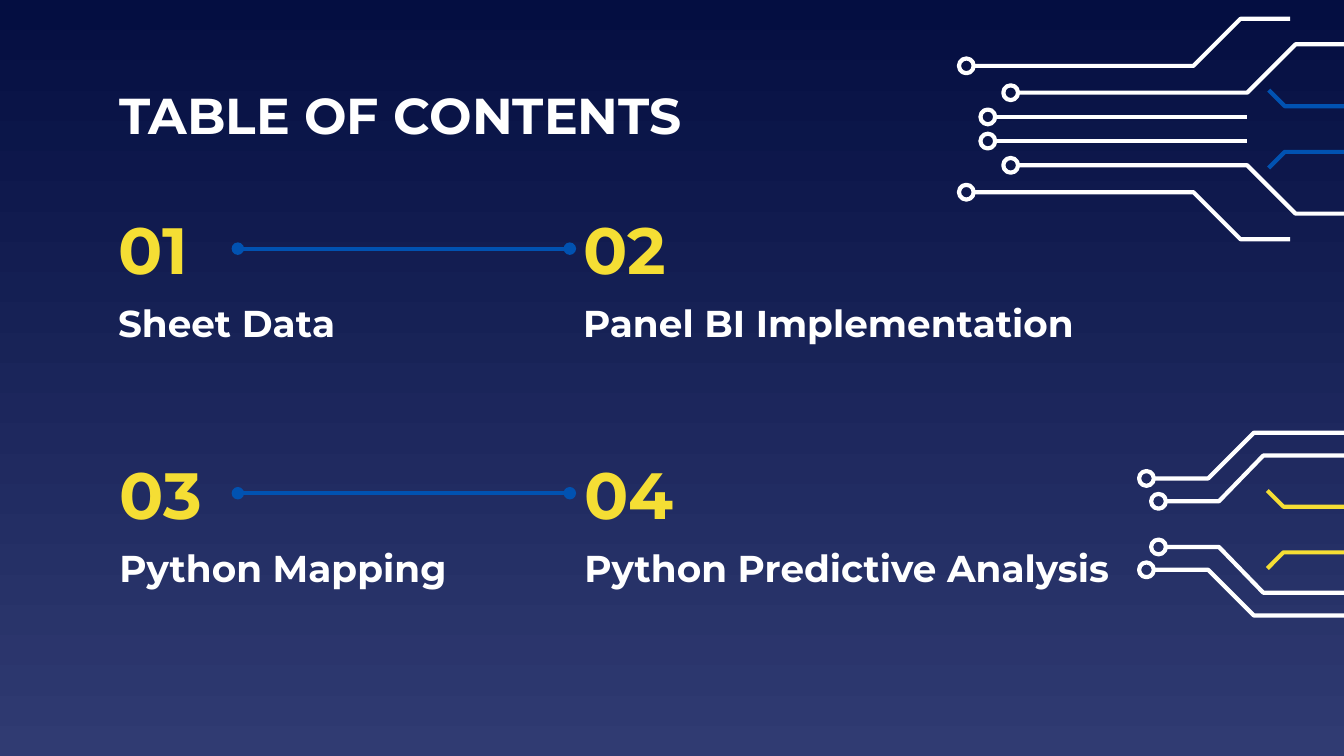
from dataclasses import dataclass

from lxml import etree
from pptx import Presentation
from pptx.dml.color import RGBColor
from pptx.enum.shapes import MSO_CONNECTOR as Connector, MSO_SHAPE as Shape
from pptx.enum.text import MSO_ANCHOR as Anchor
from pptx.oxml.ns import qn
from pptx.util import Inches, Pt


@dataclass(frozen=True)
class Theme:
    font: str = "Montserrat"
    top: RGBColor = RGBColor.from_string("040E41")
    bottom: RGBColor = RGBColor.from_string("303B72")
    white: RGBColor = RGBColor.from_string("FFFFFF")
    yellow: RGBColor = RGBColor.from_string("F5DE34")
    blue: RGBColor = RGBColor.from_string("0152B1")
    title_size: int = 27
    number_size: int = 35
    topic_size: int = 20
    stroke: float = 2.25


THEME = Theme()
SLIDE_W = 10
SLIDE_H = SLIDE_W * 9 / 16
NODE_SIZE = 0.11
NUMBER_H, TOPIC_H = 0.58, 0.52

# Each trace lists (x, distance from the circuit's centre line); the first
# point is the centre of its node. x is measured from the circuit's left.
LARGE_TRACES = [
    [(0.06, 0.47), (1.75, 0.47), (2.1, 0.82), (2.47, 0.82)],
    [(0.39, 0.27), (2.15, 0.27), (2.51, 0.63), (2.87, 0.63)],
    [(0.22, 0.09), (2.15, 0.09)],
]
SMALL_TRACES = [
    [(0.08, 0.34), (0.54, 0.34), (0.88, 0.68), (1.55, 0.68)],
    [(0.17, 0.17), (0.62, 0.17), (0.95, 0.51), (1.55, 0.51)],
]


def paint_background(page):
    fill = page.background.fill
    fill.gradient()
    fill.gradient_angle = 270
    for stop, color in zip(fill.gradient_stops, (THEME.top, THEME.bottom)):
        stop.color.rgb = color


def add_text(page, box, text, size, color):
    text_box = page.shapes.add_textbox(*map(Inches, box))
    frame = text_box.text_frame
    frame.word_wrap = True
    frame.vertical_anchor = Anchor.MIDDLE
    frame.margin_left = frame.margin_right = Inches(0.1)
    frame.margin_top = frame.margin_bottom = Inches(0.1)
    frame.text = text
    font = frame.paragraphs[0].runs[0].font
    font.name, font.size, font.bold = THEME.font, Pt(size), True
    font.color.rgb = color


def outline(shape, color):
    shape.shadow.inherit = False
    shape.fill.background()
    shape.line.color.rgb = color
    shape.line.width = Pt(THEME.stroke)


def add_polyline(page, points, color):
    start, *rest = [(Inches(x), Inches(y)) for x, y in points]
    builder = page.shapes.build_freeform(*start)
    builder.add_line_segments(rest, close=False)
    outline(builder.convert_to_shape(), color)


def add_node(page, x, y):
    half = NODE_SIZE / 2
    box = (x - half, y - half, NODE_SIZE, NODE_SIZE)
    outline(page.shapes.add_shape(Shape.OVAL, *map(Inches, box)), THEME.white)


def add_circuit(page, left, middle, traces):
    """Draw the traces above the centre line and mirrored below it."""
    for side in (-1, 1):
        for trace in traces:
            points = [(left + x, middle + side * y) for x, y in trace]
            (node_x, node_y), *bends = points
            add_node(page, node_x, node_y)
            add_polyline(page, [(node_x + NODE_SIZE / 2, node_y), *bends], THEME.white)


def add_accents(page, left, middle, color):
    """Draw a mirrored pair of short bent lines running to the slide edge."""
    for side in (-1, 1):
        points = [(left, middle + side * 0.29),
                  (left + 0.12, middle + side * 0.17),
                  (SLIDE_W, middle + side * 0.17)]
        add_polyline(page, points, color)


def add_dotted_end_line(page, start_x, end_x, y):
    line = page.shapes.add_connector(
        Connector.STRAIGHT, *map(Inches, (start_x, y, end_x, y)))
    line.line.color.rgb = THEME.blue
    line.line.width = Pt(THEME.stroke)
    stroke = line.line._get_or_add_ln()
    for end in ("a:headEnd", "a:tailEnd"):
        etree.SubElement(stroke, qn(end), type="oval")
    etree.SubElement(line._element.spPr, qn("a:effectLst"))


def add_entry(page, left, top, width, number, topic):
    add_text(page, (left, top, 0.99, NUMBER_H), number, THEME.number_size, THEME.yellow)
    add_text(page, (left, top + NUMBER_H, width, TOPIC_H), topic,
             THEME.topic_size, THEME.white)


def add_contents_row(page, left, top, first_number, topics):
    columns = [(left, 3.18), (left + 3.46, 4.81)]
    for number, ((x, width), topic) in enumerate(zip(columns, topics), first_number):
        add_entry(page, x, top, width, f"{number:02}", topic)
    add_dotted_end_line(page, 1.77, 4.24, top + NUMBER_H / 2)


def main():
    deck = Presentation()
    deck.slide_width, deck.slide_height = Inches(SLIDE_W), Inches(SLIDE_H)
    page = deck.slides.add_slide(deck.slide_layouts[6])
    paint_background(page)
    add_circuit(page, 8.45, 3.9, SMALL_TRACES)
    add_accents(page, 9.43, 3.94, THEME.yellow)
    add_accents(page, 9.44, 0.96, THEME.blue)
    add_text(page, (0.79, 0.59, 5.87, 0.52), "TABLE OF CONTENTS",
             THEME.title_size, THEME.white)
    add_contents_row(page, 0.78, 1.56, 1, ["Sheet Data", "Panel BI Implementation"])
    add_contents_row(page, 0.79, 3.38, 3, ["Python Mapping", "Python Predictive Analysis"])
    add_circuit(page, 7.13, 0.96, LARGE_TRACES)
    deck.save("out.pptx")


if __name__ == "__main__":
    main()
